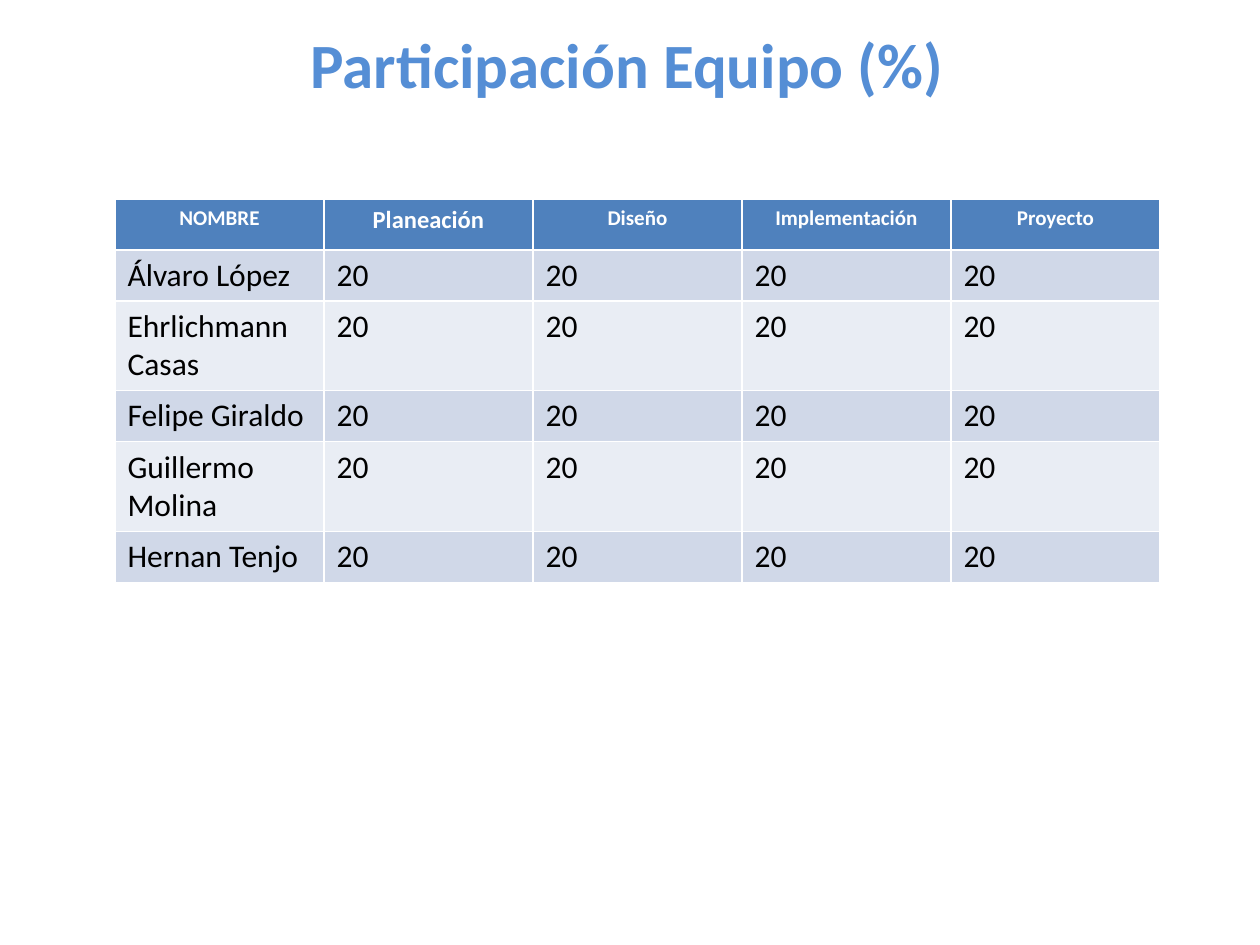
from pptx import Presentation
from pptx.dml.color import RGBColor
from pptx.enum.text import MSO_ANCHOR as Anchor, PP_ALIGN as Align
from pptx.util import Emu, Pt

BLACK = RGBColor(0x00, 0x00, 0x00)
WHITE = RGBColor(0xFF, 0xFF, 0xFF)
TITLE_BLUE = RGBColor(0x55, 0x8E, 0xD5)
HEADER_BLUE = RGBColor(0x4F, 0x81, 0xBD)
BANDS = (RGBColor(0xD0, 0xD8, 0xE8), RGBColor(0xE9, 0xED, 0xF4))

HEADINGS = (("NOMBRE", 12), ("Planeación", 14), ("Diseño", 12),
            ("Implementación", 12), ("Proyecto", 12))
MEMBERS = ("Álvaro López", "Ehrlichmann Casas", "Felipe Giraldo",
           "Guillermo Molina", "Hernan Tenjo")
SHARE = "20"


def px(length):
    return Emu(round(length * 914400 / 126))


class SlideBuilder:
    """Holds the font and the current slide, and adds each kind of element."""

    def __init__(self, deck, font="Calibri"):
        self.font = font
        self.slide = deck.slides.add_slide(deck.slide_layouts[5])

    def set_text(self, frame, text, size, color, bold=False, align=Align.LEFT):
        frame.text = text
        paragraph = frame.paragraphs[0]
        paragraph.alignment = align
        font = paragraph.runs[0].font
        font.name, font.size, font.bold = self.font, Pt(size), bold
        font.color.rgb = color

    def title(self, text, left, top, width, height):
        heading = self.slide.shapes.title
        heading.left, heading.top = px(left), px(top)
        heading.width, heading.height = px(width), px(height)
        heading.text_frame.word_wrap = True
        heading.text_frame.vertical_anchor = Anchor.MIDDLE
        self.set_text(heading.text_frame, text, 36, TITLE_BLUE, True, Align.CENTER)

    def cell(self, cell, fill, *text_style):
        cell.fill.solid()
        cell.fill.fore_color.rgb = fill
        self.set_text(cell.text_frame, *text_style)

    def table(self, headings, rows, left, top, column_width, row_height):
        row_count, column_count = len(rows) + 1, len(headings)
        grid = self.slide.shapes.add_table(
            row_count, column_count, px(left), px(top),
            px(column_width * column_count), px(row_height * row_count)).table
        for column in grid.columns:
            column.width = px(column_width)
        for row in grid.rows:
            row.height = px(row_height)
        for c, (heading, size) in enumerate(headings):
            self.cell(grid.cell(0, c), HEADER_BLUE, heading, size, WHITE, True, Align.CENTER)
        for r, values in enumerate(rows):
            for c, value in enumerate(values):
                self.cell(grid.cell(r + 1, c), BANDS[r % 2], value, 18, BLACK)


def main():
    deck = Presentation()
    deck.slide_width, deck.slide_height = px(1260), px(945)
    participation = SlideBuilder(deck)
    participation.title("Participación Equipo (%)", 74, 19, 1106, 89)
    shares = [SHARE] * (len(HEADINGS) - 1)
    participation.table(HEADINGS, [[member, *shares] for member in MEMBERS],
                        115, 199, 209, 51)
    deck.save("out.pptx")


if __name__ == "__main__":
    main()
